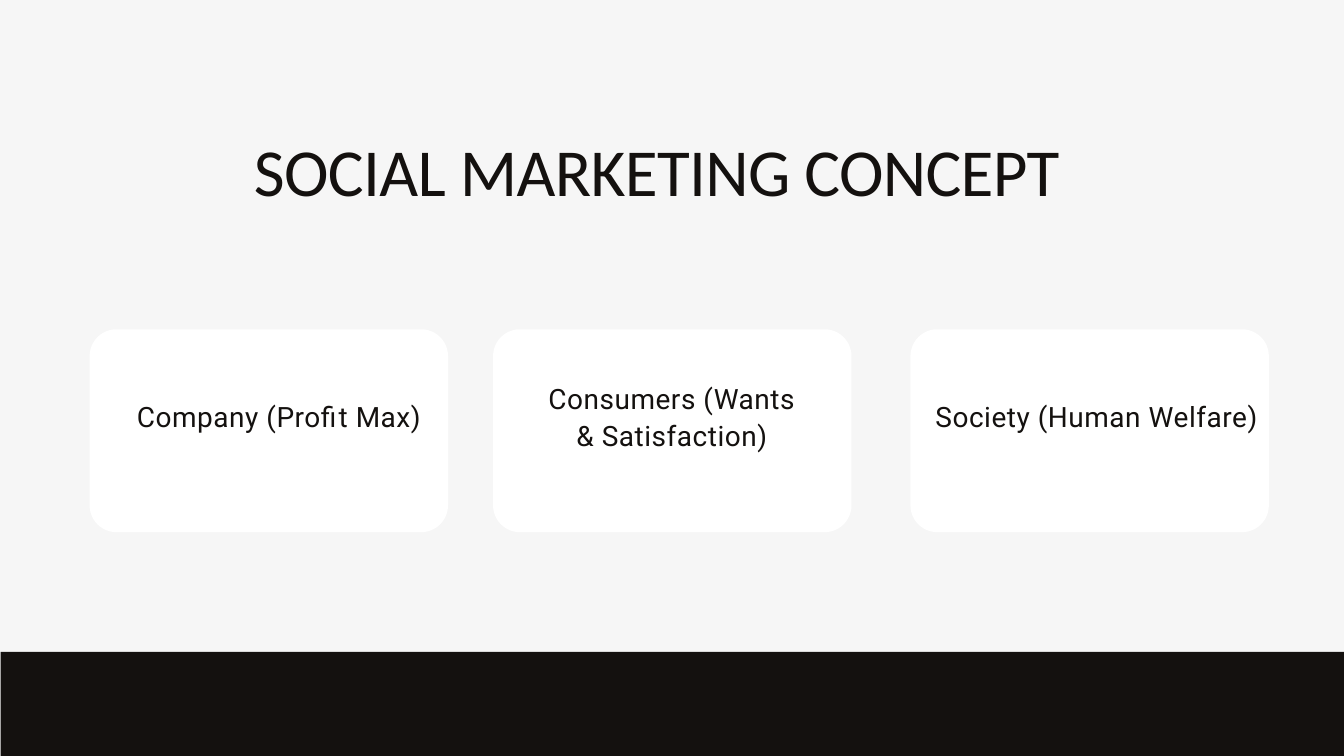
from pptx import Presentation
from pptx.dml.color import RGBColor
from pptx.enum.shapes import MSO_SHAPE
from pptx.enum.text import MSO_ANCHOR, MSO_AUTO_SIZE, PP_ALIGN
from pptx.util import Pt

INK = RGBColor(0x14, 0x11, 0x0F)
WHITE = RGBColor(0xFF, 0xFF, 0xFF)
PALE = RGBColor(0xF6, 0xF6, 0xF6)

TOP, WIDE, HIGH, CURVE = 352.8, 384, 217.4, 28.8

# card left, text left, text top, text width, text height, label
CARDS = [
    (96, 141, 425.5, 316, 78, "Company (Profit Max)"),
    (528.3, 574, 406, 292, 117, "Consumers (Wants & Satisfaction)"),
    (975.5, 991.5, 425.5, 367, 78, "Society (Human Welfare)"),
]


def add_block(slide, kind, left, top, width, height, fill):
    """Draw a filled shape without outline or shadow."""
    block = slide.shapes.add_shape(
        kind, Pt(left), Pt(top), Pt(width), Pt(height))
    block.shadow.inherit = False
    block.fill.solid()
    block.fill.fore_color.rgb = fill
    block.line.fill.background()
    return block


def style_text(shape, text, font, size, lead, space):
    """Fill a shape with one centred, letter-spaced paragraph."""
    frame = shape.text_frame
    frame.text = text
    frame.word_wrap = True
    frame.auto_size = MSO_AUTO_SIZE.NONE
    frame.vertical_anchor = MSO_ANCHOR.TOP
    frame.margin_left = frame.margin_right = 0
    frame.margin_top = frame.margin_bottom = 0
    para = frame.paragraphs[0]
    para.alignment = PP_ALIGN.CENTER
    para.line_spacing = Pt(lead)
    run = para.runs[0]
    run.font.name = font
    run.font.size = Pt(size)
    run.font.color.rgb = INK
    run.font._element.set("spc", str(round(space * 100)))


def set_title(slide, text):
    """Place and format the slide title."""
    title = slide.shapes.title
    title.left, title.top = Pt(141), Pt(131.8)
    title.width, title.height = Pt(1125), Pt(90.7)
    style_text(title, text, "Calibri", 72, 93.6, -0.7)


def add_card(slide, left):
    """Draw a white rounded card."""
    card = add_block(slide, MSO_SHAPE.ROUNDED_RECTANGLE,
                     left, TOP, WIDE, HIGH, WHITE)
    card.adjustments[0] = CURVE / HIGH


def add_label(slide, left, top, width, height, text):
    """Add the caption that lies on a card."""
    box = slide.shapes.add_textbox(Pt(left), Pt(top), Pt(width), Pt(height))
    style_text(box, text, "Roboto", 30, 39, 0.6)


def main():
    """Build and save the slide."""
    deck = Presentation()
    deck.slide_width, deck.slide_height = Pt(1440), Pt(810)
    slide = deck.slides.add_slide(deck.slide_layouts[5])
    slide.background.fill.solid()
    slide.background.fill.fore_color.rgb = PALE
    add_block(slide, MSO_SHAPE.RECTANGLE, 0.7, 698.4, 1439.3, 111.6, INK)
    set_title(slide, "SOCIAL MARKETING CONCEPT")
    for left, *label in CARDS:
        add_card(slide, left)
        add_label(slide, *label)
    deck.save("out.pptx")


if __name__ == "__main__":
    main()
